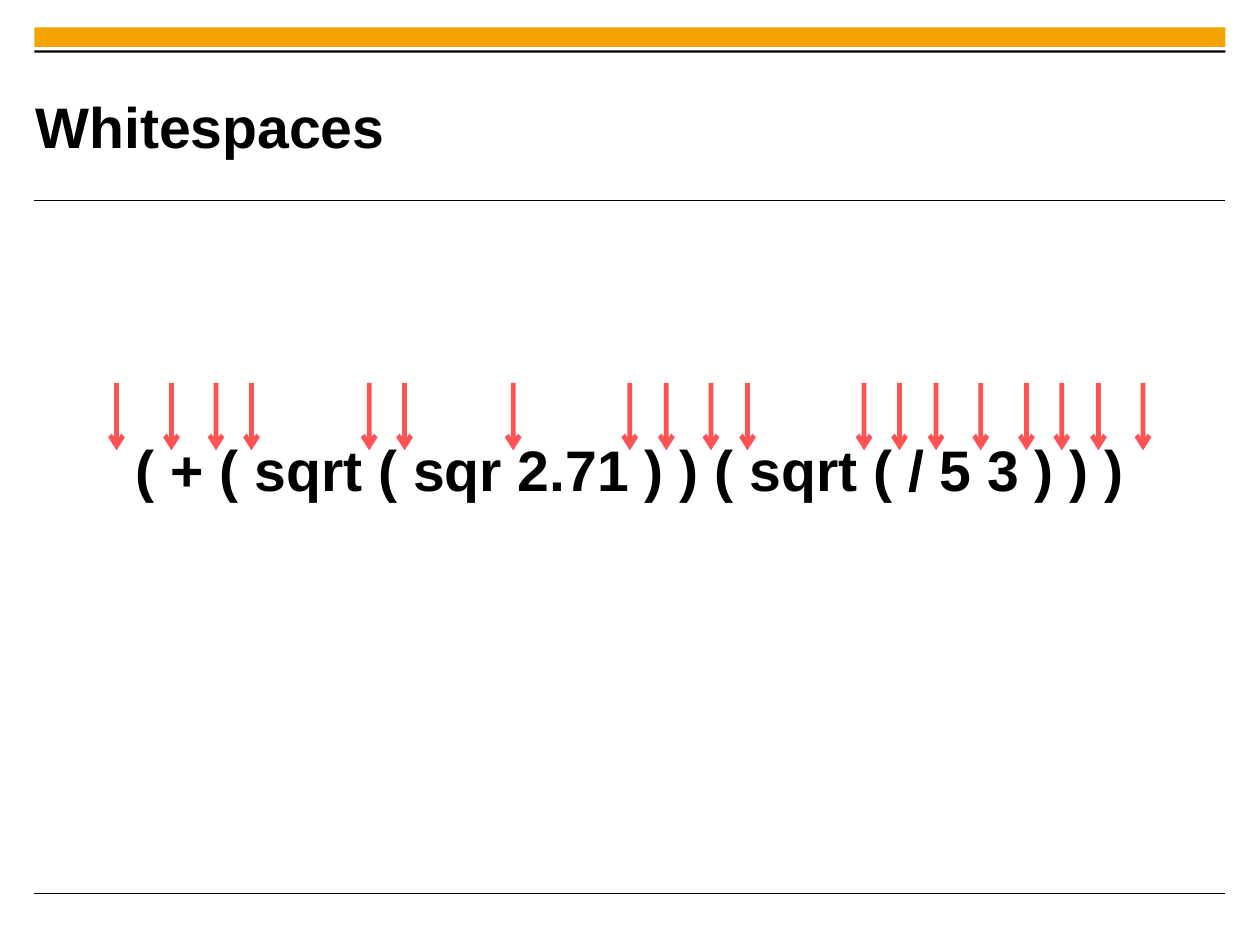
from lxml import etree
from pptx import Presentation
from pptx.dml.color import RGBColor
from pptx.enum.shapes import MSO_CONNECTOR as Connector, MSO_SHAPE as Shape
from pptx.enum.text import MSO_ANCHOR as Anchor, MSO_AUTO_SIZE as AutoSize, PP_ALIGN as Align
from pptx.oxml.ns import qn
from pptx.util import Inches, Pt

COLORS = {"accent": "F5A300", "ink": "000000", "arrow": "FF0000", "paper": "FFFFFF"}
CM_PER_INCH = 2.54
SLIDE_WIDTH, SLIDE_HEIGHT = 28 / CM_PER_INCH, 21 / CM_PER_INCH
LEFT, RIGHT = 0.3, 10.72
ARROW_TOP, ARROW_BOTTOM = 3.35, 3.94

# One arrow for each place where whitespace may stand
ARROW_POSITIONS = [
    1.02, 1.5, 1.89, 2.2, 3.23, 3.54, 4.49, 5.51, 5.83, 6.22,
    6.54, 7.56, 7.87, 8.19, 8.58, 8.98, 9.29, 9.61, 10,
]


def color(name):
    return RGBColor.from_string(COLORS[name])


def add_bar(slide, top, height, fill):
    bar = slide.shapes.add_shape(
        Shape.RECTANGLE, Inches(LEFT), Inches(top), Inches(RIGHT - LEFT), Inches(height))
    bar.shadow.inherit = False
    bar.fill.solid()
    bar.fill.fore_color.rgb = color(fill)
    bar.line.fill.background()


def add_line(slide, start, end, line_color, width):
    line = slide.shapes.add_connector(
        Connector.STRAIGHT, *(Inches(value) for value in (*start, *end)))
    line.line.color.rgb = color(line_color)
    line.line.width = Pt(width)
    etree.SubElement(line._element.spPr, qn("a:effectLst"))
    return line


def add_rule(slide, top):
    add_line(slide, (LEFT, top), (RIGHT, top), "ink", 0.6)


def add_arrow(slide, x):
    arrow = add_line(slide, (x, ARROW_TOP), (x, ARROW_BOTTOM), "arrow", 3)
    outline = arrow._element.spPr.find(qn("a:ln"))
    etree.SubElement(outline, qn("a:tailEnd"), type="arrow")
    # Two-thirds opacity
    etree.SubElement(outline.find(".//" + qn("a:srgbClr")), qn("a:alpha"), val="67000")


def write_text(shape, text, box, insets, alignment, anchor):
    shape.left, shape.top, shape.width, shape.height = (Inches(value) for value in box)
    frame = shape.text_frame
    frame.word_wrap = True
    frame.auto_size = AutoSize.NONE
    frame.vertical_anchor = anchor
    frame.margin_left = frame.margin_right = Inches(insets[0])
    frame.margin_top = frame.margin_bottom = Inches(insets[1])
    paragraph = frame.paragraphs[0]
    paragraph.alignment = alignment
    run = paragraph.add_run()
    run.text = text
    run.font.name = "Arial"
    run.font.size = Pt(36)
    run.font.bold = True
    run.font.color.rgb = color("ink")


def main():
    presentation = Presentation()
    presentation.slide_width = Inches(SLIDE_WIDTH)
    presentation.slide_height = Inches(SLIDE_HEIGHT)
    slide = presentation.slides.add_slide(presentation.slide_layouts[5])
    slide.background.fill.solid()
    slide.background.fill.fore_color.rgb = color("paper")

    # Frame of the slide
    add_bar(slide, 0.24, 0.17, "accent")
    add_bar(slide, 0.44, 0.02, "ink")
    for top in (1.75, 7.82):
        add_rule(slide, top)

    # Title and expression
    write_text(slide.shapes.title, "Whitespaces", (0.31, 0.59, 8.41, 1.01),
               (0, 0), Align.LEFT, Anchor.MIDDLE)
    expression = slide.shapes.add_textbox(0, 0, 0, 0)
    write_text(expression, "( + ( sqrt ( sqr 2.71 ) ) ( sqrt ( / 5 3 ) ) )",
               (0.24, 3.74, 10.55, 4.11), (0.11, 0.06), Align.CENTER, Anchor.TOP)

    # Whitespace markers
    for x in ARROW_POSITIONS:
        add_arrow(slide, x)

    presentation.save("out.pptx")


if __name__ == "__main__":
    main()
